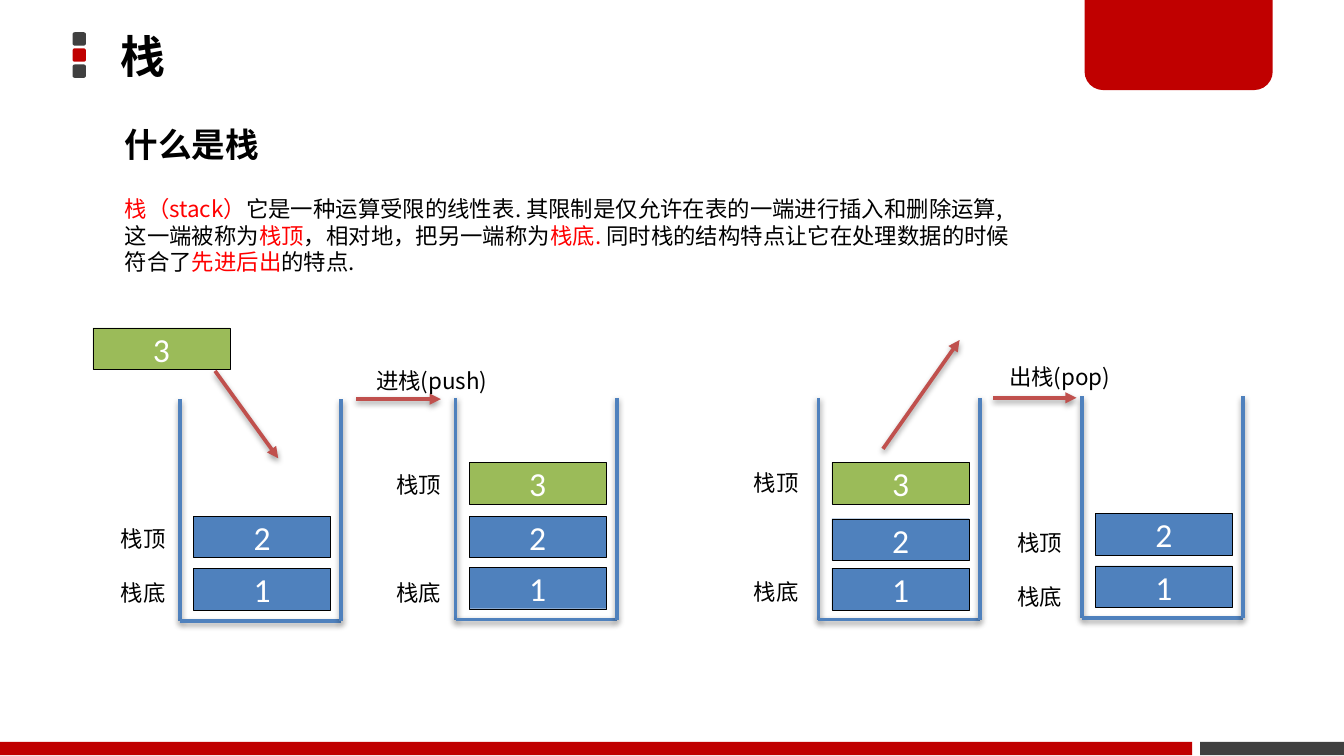
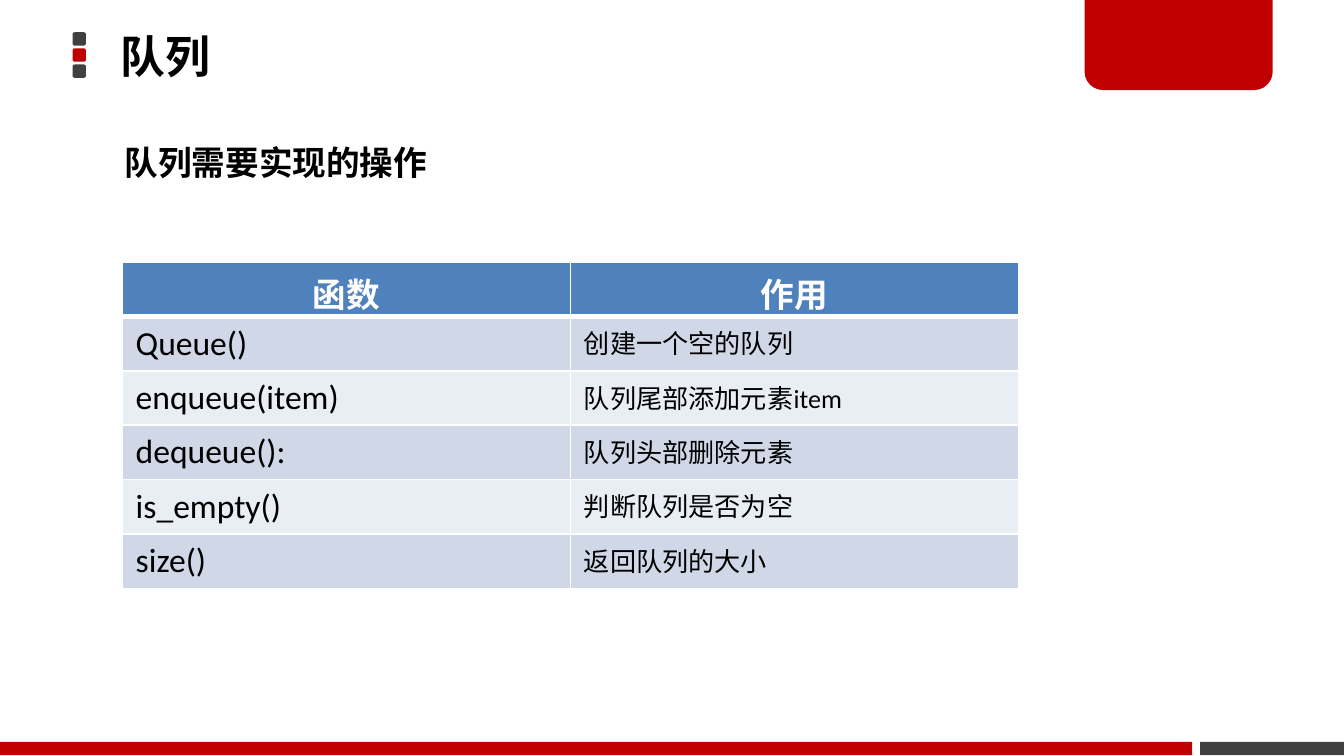
from lxml.etree import Element, SubElement
from pptx import Presentation
from pptx.dml.color import RGBColor
from pptx.enum.shapes import MSO_CONNECTOR, MSO_SHAPE as Shape
from pptx.enum.text import MSO_ANCHOR as Anchor, MSO_AUTO_SIZE as AutoSize, PP_ALIGN as Align
from pptx.oxml.ns import qn
from pptx.util import Inches, Pt

BLACK = RGBColor(0x00, 0x00, 0x00)
WHITE = RGBColor(0xFF, 0xFF, 0xFF)
DARK_GRAY = RGBColor(0x40, 0x40, 0x40)
BRAND_RED = RGBColor(0xC0, 0x00, 0x00)
KEYWORD_RED = RGBColor(0xFF, 0x00, 0x00)
BLUE = RGBColor(0x4F, 0x81, 0xBD)
GREEN = RGBColor(0x9B, 0xBB, 0x59)
ARROW_RED = RGBColor(0xC0, 0x50, 0x4D)
BAND_DARK = RGBColor(0xD0, 0xD8, 0xE8)
BAND_LIGHT = RGBColor(0xE9, 0xED, 0xF4)
CJK_FONT = "Noto Sans CJK SC"
LATIN_FONT = "Calibri"

INTRO = [
    [("栈（stack）", True),
     ("它是一种运算受限的线性表. 其限制是仅允许在表的一端进行插入和删除运算,", False)],
    [("这一端被称为", False), ("栈顶", True), ("，相对地，把另一端称为", False),
     ("栈底. ", True), ("同时栈的结构特点让它在处理数据的时候", False)],
    [("符合了", False), ("先进后出", True), ("的特点.", False)],
]
STACKS = [
    (1.34, 2.97, [4.23, 3.84], 0.8, 3.86, 4.26),
    (3.39, 2.96, [4.22, 3.84, 3.44], 2.85, 3.46, 4.26),
    (6.09, 2.96, [4.23, 3.86, 3.44], 5.51, 3.44, 4.25),
    (8.05, 2.95, [4.21, 3.82], 7.47, 3.89, 4.29),
]
MOVES = [
    (1.6, 2.76, 2.07, 3.41),
    (2.65, 2.97, 3.28, 2.97),
    (6.57, 3.34, 7.14, 2.53),
    (7.39, 2.96, 8.01, 2.96),
]
OPERATIONS = [
    ("函数", "作用"),
    ("Queue()", "创建一个空的队列"),
    ("enqueue(item)", "队列尾部添加元素item"),
    ("dequeue():", "队列头部删除元素"),
    ("is_empty()", "判断队列是否为空"),
    ("size()", "返回队列的大小"),
]


class Deck:
    def __init__(self):
        self.prs = Presentation()
        self.prs.slide_width = Inches(10)
        self.prs.slide_height = Inches(10) * 9 // 16
        self.slide = None

    def new_slide(self, title):
        self.slide = self.prs.slides.add_slide(self.prs.slide_layouts[5])
        for row, color in enumerate([DARK_GRAY, BRAND_RED, DARK_GRAY]):
            self.block(0.54, 0.24 + 0.12 * row, 0.1, 0.1, color, Shape.ROUNDED_RECTANGLE)
        self.block(8.93, 5.52, 1.07, 0.1, DARK_GRAY)
        self.block(0, 5.52, 8.87, 0.1, BRAND_RED)
        tab = self.block(8.07, -0.02, 1.4, 0.69, BRAND_RED, Shape.ROUND_2_SAME_RECTANGLE)
        tab.adjustments[0], tab.adjustments[1] = 0, 0.2
        self.title(title)

    def style(self, paragraph, size, color=BLACK, bold=False, name=CJK_FONT):
        font = paragraph.font
        font.size, font.bold, font.name = Pt(size), bold, name
        font.color.rgb = color
        if name == CJK_FONT:
            defaults = paragraph._p.find(".//" + qn("a:defRPr"))
            SubElement(defaults, qn("a:ea"), typeface=name)

    def title(self, text):
        title = self.slide.shapes.title
        title.left, title.top = Inches(0.83), Inches(-0.01)
        title.width, title.height = Inches(5.89), Inches(0.89)
        frame = title.text_frame
        frame.text = text
        frame.auto_size = AutoSize.NONE
        frame.vertical_anchor = Anchor.MIDDLE
        frame.margin_left = frame.margin_right = Inches(0.07)
        frame.margin_top = frame.margin_bottom = Inches(0.04)
        heading = frame.paragraphs[0]
        heading.alignment = Align.LEFT
        heading.line_spacing = 0.9
        self.style(heading, 24, bold=True)

    def block(self, x, y, w, h, color, kind=Shape.RECTANGLE):
        block = self.slide.shapes.add_shape(kind, Inches(x), Inches(y), Inches(w), Inches(h))
        block.shadow.inherit = False
        block.fill.solid()
        block.fill.fore_color.rgb = color
        block.line.fill.background()
        return block

    def item(self, x, y, value):
        item = self.block(x, y, 1.02, 0.31, GREEN if value == 3 else BLUE)
        item.line.color.rgb = BLACK
        item.line.width = Pt(0.25)
        item.text_frame.text = str(value)
        item.text_frame.vertical_anchor = Anchor.MIDDLE
        number = item.text_frame.paragraphs[0]
        number.alignment = Align.CENTER
        self.style(number, 18, WHITE, name=LATIN_FONT)

    def text(self, x, y, w, h, lines, size=12, bold=False, wrap=False):
        box = self.slide.shapes.add_textbox(Inches(x), Inches(y), Inches(w), Inches(h))
        frame = box.text_frame
        frame.word_wrap = wrap
        frame.auto_size = AutoSize.SHAPE_TO_FIT_TEXT
        for index, parts in enumerate(lines):
            paragraph = frame.add_paragraph() if index else frame.paragraphs[0]
            self.style(paragraph, size, bold=bold)
            for words, is_keyword in parts:
                run = paragraph.add_run()
                run.text = words
                if is_keyword:
                    run.font.color.rgb = KEYWORD_RED

    def label(self, x, y, w, words, h=0.3, **options):
        self.text(x, y, w, h, [[(words, False)]], **options)

    def line(self, x1, y1, x2, y2, color=BLUE):
        line = self.slide.shapes.add_connector(
            MSO_CONNECTOR.STRAIGHT, Inches(x1), Inches(y1), Inches(x2), Inches(y2))
        line.line.color.rgb = color
        line.line.width = Pt(2)
        return line

    def arrow(self, x1, y1, x2, y2):
        arrow = self.line(x1, y1, x2, y2, ARROW_RED)
        SubElement(arrow.line._get_or_add_ln(), qn("a:tailEnd"), type="triangle")

    def stack(self, left, top, item_tops, label_left, top_label, bottom_label):
        right, bottom = left + 1.2, top + 1.65
        self.line(left, top, left, bottom)
        self.line(left, bottom, right, bottom)
        self.line(right, top, right, bottom)
        for value, item_top in enumerate(item_tops, 1):
            self.item(left + 0.1, item_top, value)
        self.label(label_left, top_label, 0.54, "栈顶")
        self.label(label_left, bottom_label, 0.54, "栈底")

    def border(self, cell, sides):
        properties = cell._tc.get_or_add_tcPr()
        for position, (side, width) in enumerate(sides):
            edge = Element(qn("a:ln" + side), w=str(Pt(width)))
            fill = SubElement(edge, qn("a:solidFill"))
            SubElement(fill, qn("a:srgbClr"), val=str(WHITE))
            properties.insert(position, edge)

    def table(self, x, y, w, h, rows):
        table = self.slide.shapes.add_table(
            len(rows), len(rows[0]), Inches(x), Inches(y), Inches(w), Inches(h)).table
        for r, row in enumerate(rows):
            for c, words in enumerate(row):
                cell = table.cell(r, c)
                cell.text = words
                cell.fill.solid()
                paragraph = cell.text_frame.paragraphs[0]
                if r == 0:
                    cell.fill.fore_color.rgb = BLUE
                    paragraph.alignment = Align.CENTER
                    self.style(paragraph, 18, WHITE, True, LATIN_FONT)
                    self.border(cell, [("L", 1), ("R", 1), ("T", 1), ("B", 3)])
                else:
                    cell.fill.fore_color.rgb = BAND_DARK if r % 2 else BAND_LIGHT
                    self.style(paragraph, 14 if c else 18, name=LATIN_FONT)
                    top_width = 3 if r == 1 else 1
                    self.border(cell, [("L", 1), ("R", 1), ("T", top_width), ("B", 1)])


def main():
    deck = Deck()

    deck.new_slide("栈")
    deck.label(0.83, 0.87, 1.21, "什么是栈", 0.4, size=18, bold=True)
    deck.text(0.83, 1.4, 6.93, 0.71, INTRO)
    for stack in STACKS:
        deck.stack(*stack)
    deck.item(0.69, 2.44, 3)
    for move in MOVES:
        deck.arrow(*move)
    deck.label(2.7, 2.68, 1.04, "进栈(push)", wrap=True)
    deck.label(7.41, 2.65, 1, "出栈(pop)")

    deck.new_slide("队列")
    deck.label(0.83, 1.01, 2.47, "队列需要实现的操作", 0.4, size=18, bold=True)
    deck.table(0.91, 1.95, 6.67, 2.43, OPERATIONS)

    deck.prs.save("out.pptx")


if __name__ == "__main__":
    main()
